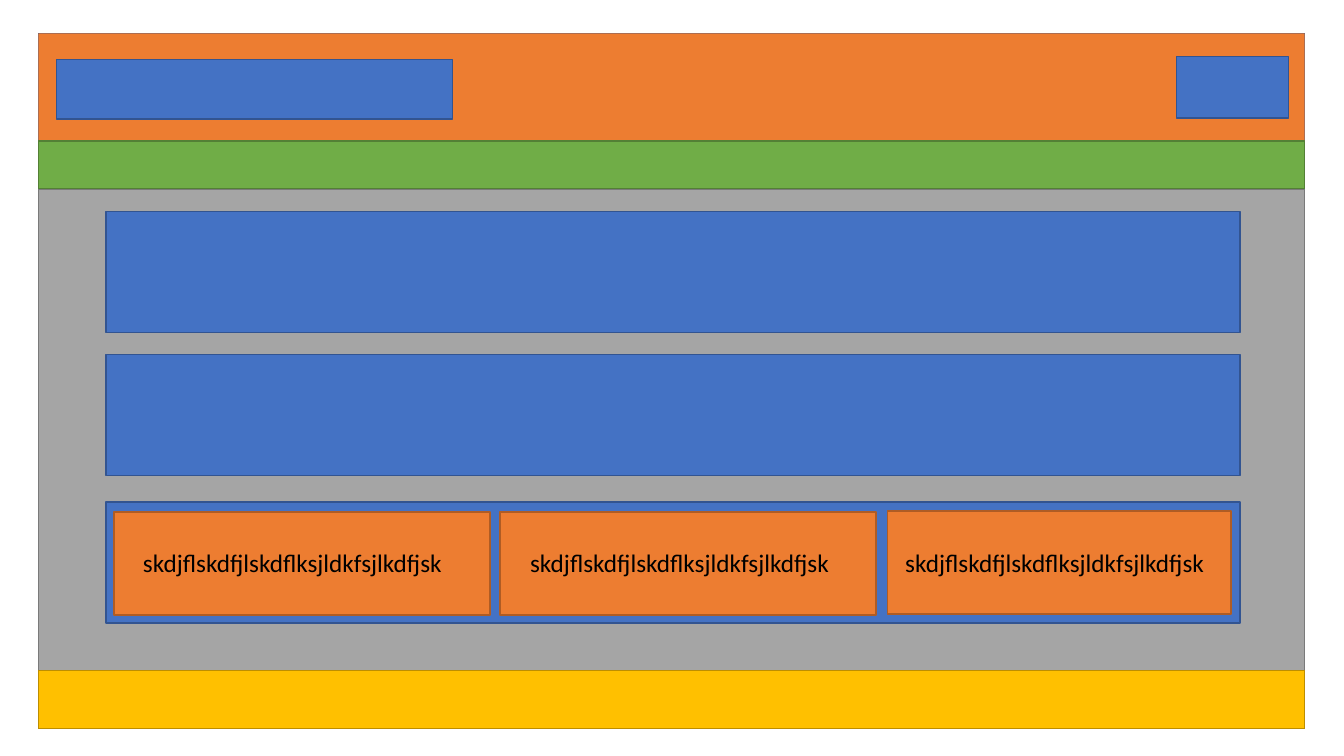
"""Build a page wireframe slide with header, menu, content and footer."""
from pptx import Presentation
from pptx.dml.color import RGBColor
from pptx.enum.shapes import MSO_SHAPE
from pptx.enum.text import MSO_AUTO_SIZE
from pptx.util import Inches, Pt

RECTANGLE = MSO_SHAPE.RECTANGLE
FIT_SHAPE = MSO_AUTO_SIZE.SHAPE_TO_FIT_TEXT

COLORS = {
    "blue": "4472C4", "blue_line": "325491",
    "orange": "ED7D31", "orange_line": "AF5C24",
    "green": "70AD47", "green_line": "538035",
    "gray": "A5A5A5", "gray_line": "7A7A7A",
    "gold": "FFC000", "gold_line": "BD8E00",
    "black": "000000",
}
PAGE_LEFT, PAGE_TOP, PAGE_WIDTH, PAGE_HEIGHT = 0.38, 0.33, 12.56, 6.9
PANEL_LEFT, PANEL_WIDTH, PANEL_HEIGHT = 1.05, 11.25, 1.2
CARD_TEXT = "skdjflskdfjlskdflksjldkfsjlkdfjsk"


class Wireframe:
    """Hold the style and the current slide."""

    def __init__(self, slide, font_name="Calibri", font_size=18):
        self.slide = slide
        self.font_name = font_name
        self.font_size = font_size

    def box(self, left, top, width, height, color, outlined=True):
        shape = self.slide.shapes.add_shape(
            RECTANGLE, Inches(left), Inches(top), Inches(width), Inches(height))
        shape.shadow.inherit = False
        shape.fill.solid()
        shape.fill.fore_color.rgb = RGBColor.from_string(COLORS[color])
        if outlined:
            shape.line.color.rgb = RGBColor.from_string(COLORS[color + "_line"])
            shape.line.width = Pt(1)
        else:
            shape.line.fill.background()

    def label(self, left, top, width, height, text):
        shape = self.slide.shapes.add_textbox(
            Inches(left), Inches(top), Inches(width), Inches(height))
        frame = shape.text_frame
        frame.word_wrap = False
        frame.auto_size = FIT_SHAPE
        paragraph = frame.paragraphs[0]
        paragraph.text = text
        paragraph.font.name = self.font_name
        paragraph.font.size = Pt(self.font_size)
        paragraph.font.color.rgb = RGBColor.from_string(COLORS["black"])


def main():
    presentation = Presentation()
    presentation.slide_width = Inches(13.33)
    presentation.slide_height = Inches(7.5)
    wireframe = Wireframe(presentation.slides.add_slide(presentation.slide_layouts[6]))

    wireframe.box(PAGE_LEFT, PAGE_TOP, PAGE_WIDTH, PAGE_HEIGHT, "blue")
    wireframe.box(PAGE_LEFT, PAGE_TOP, PAGE_WIDTH, 1.08, "orange", outlined=False)
    for top, height, color in [(1.4, 0.47, "green"), (1.88, 4.78, "gray"), (6.65, 0.58, "gold")]:
        wireframe.box(PAGE_LEFT, top, PAGE_WIDTH, height, color)

    for top in (2.1, 3.52, 4.98):
        wireframe.box(PANEL_LEFT, top, PANEL_WIDTH, PANEL_HEIGHT, "blue")

    cards = [(1.13, 5.08, 3.73), (4.96, 5.08, 3.73), (8.8, 5.07, 3.41)]
    for left, top, width in cards:
        wireframe.box(left, top, width, 1.02, "orange")
    for left in (1.32, 5.16, 8.88):
        wireframe.label(left, 5.38, 3.23, 0.4, CARD_TEXT)

    wireframe.box(0.56, 0.59, 3.93, 0.59, "blue")
    wireframe.box(11.67, 0.56, 1.11, 0.61, "blue")

    presentation.save("out.pptx")


if __name__ == "__main__":
    main()
